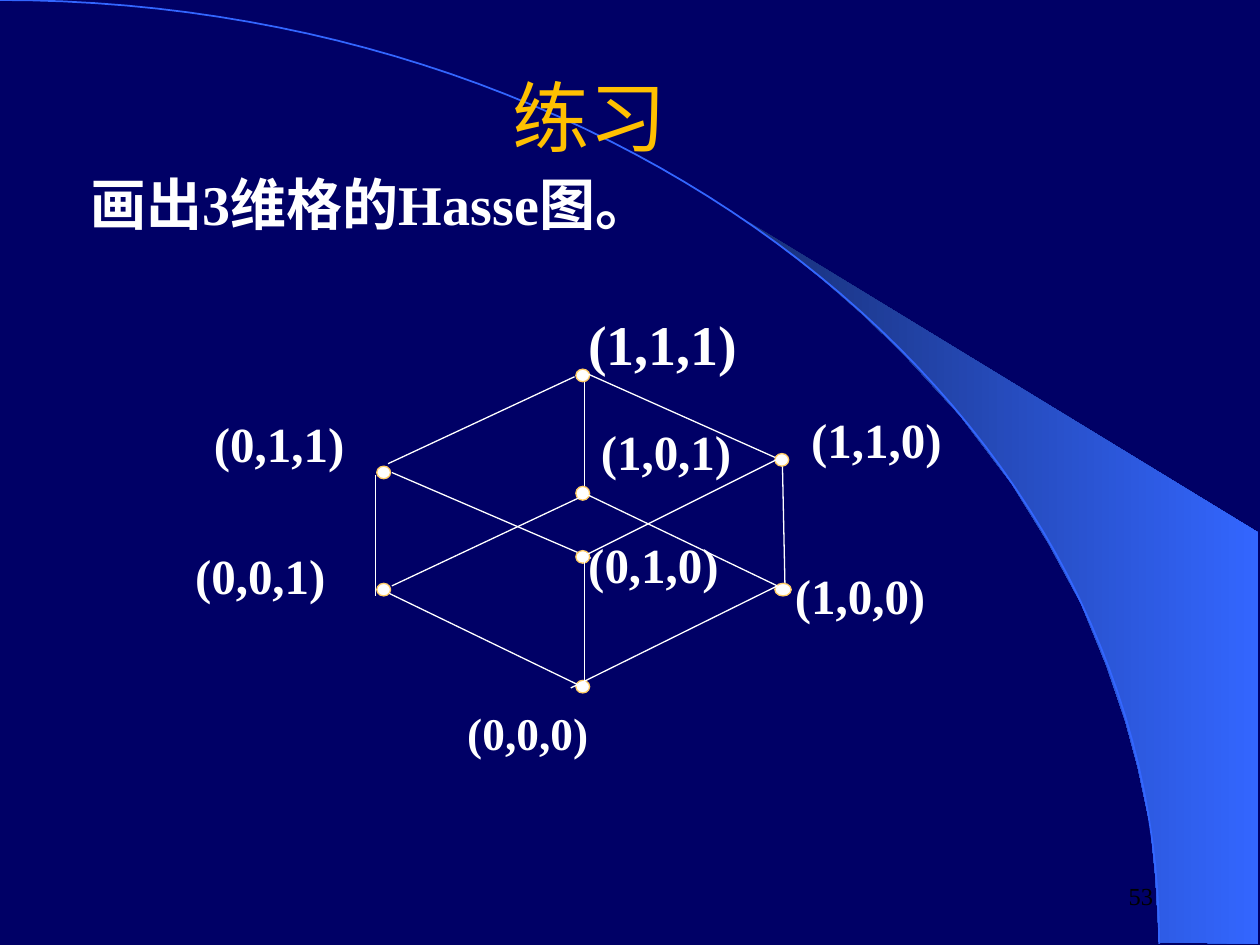
from dataclasses import dataclass
from typing import Any

from lxml.etree import SubElement
from pptx import Presentation
from pptx.dml.color import RGBColor
from pptx.enum.shapes import MSO_CONNECTOR, MSO_SHAPE
from pptx.enum.text import MSO_ANCHOR, PP_ALIGN
from pptx.oxml.ns import qn
from pptx.util import Emu, Pt

EMU_PER_PX = 9144
NAVY = RGBColor(0x00, 0x00, 0x66)
DEEP_BLUE = RGBColor(0x18, 0x2F, 0x76)
BLUE = RGBColor(0x33, 0x66, 0xFF)
WHITE = RGBColor(0xFF, 0xFF, 0xFF)
GOLD = RGBColor(0xFF, 0xC0, 0x00)
SAND = RGBColor(0xFF, 0xCC, 0x66)
BLACK = RGBColor(0x00, 0x00, 0x00)
FONT = "Times New Roman"
Point = tuple[float, float]


@dataclass(frozen=True)
class Label:
    text: str
    left: int
    top: int
    width: int
    height: int = 84
    size: float = 28
    color: RGBColor = WHITE
    bold: bool = True
    align: PP_ALIGN = PP_ALIGN.JUSTIFY
    anchor: MSO_ANCHOR = MSO_ANCHOR.TOP


@dataclass(frozen=True)
class Node:
    left: int
    top: int
    width: int = 11
    height: int = 10


@dataclass(frozen=True)
class Edge:
    x1: int
    y1: int
    x2: int
    y2: int


BEAM = [
    (920, 748), (999, 749), (999, 423), (589, 173), (624, 199), (653, 222),
    (685, 250), (716, 280), (762, 330), (803, 384), (832, 431), (858, 479),
    (878, 528), (893, 572), (903, 609), (913, 656), (917, 696),
]
ARC_CONTROLS = [(0, 0), (508, 0), (920, 335), (920, 749)]
ARC_STEPS = 60

HEADINGS = [
    Label("画出3维格的Hasse图。", 62, 130, 908, 500, size=32, align=PP_ALIGN.LEFT),
    Label("练习", 43, 52, 850, 80, size=44, color=GOLD, bold=False,
          align=PP_ALIGN.CENTER, anchor=MSO_ANCHOR.MIDDLE),
    Label("53", 825, 694, 100, 40, size=14, color=BLACK, bold=False,
          align=PP_ALIGN.RIGHT),
]
NODE_LABELS = [
    Label("(0,1,0)", 457, 419, 152),
    Label("(1,0,1)", 467, 330, 156),
    Label("(1,1,1)", 457, 241, 224, size=32),
    Label("(0,1,1)", 160, 323, 174),
    Label("(1,1,0)", 634, 320, 173),
    Label("(0,0,1)", 145, 428, 206),
    Label("(0,0,0)", 361, 555, 208, 55, size=25.9),
    Label("(1,0,0)", 621, 444, 171),
]
NODES = [
    Node(457, 293), Node(299, 370), Node(299, 463), Node(457, 540),
    Node(457, 386, height=11), Node(615, 360), Node(457, 437),
    Node(615, 463, width=13),
]
BACK_EDGES = [
    Edge(464, 302, 464, 388), Edge(311, 375, 469, 443), Edge(621, 369, 623, 465),
]
FRONT_EDGES = [
    Edge(298, 377, 298, 473), Edge(309, 471, 464, 546), Edge(464, 441, 464, 546),
    Edge(617, 465, 453, 546), Edge(456, 299, 308, 368), Edge(467, 297, 615, 363),
    Edge(616, 365, 464, 441), Edge(464, 393, 311, 465), Edge(467, 393, 617, 465),
]


def px(value: float) -> Emu:
    return Emu(round(value * EMU_PER_PX))


def apply_format(target: Any, values: dict[str, Any]) -> None:
    for name, value in values.items():
        setattr(target, name, value)


def set_line(line: Any, color: RGBColor, width: float) -> None:
    line.color.rgb = color
    line.width = Pt(width)


def arc_points() -> list[Point]:
    points = []
    for step in range(ARC_STEPS + 1):
        t = step / ARC_STEPS
        weights = ((1 - t) ** 3, 3 * t * (1 - t) ** 2, 3 * t**2 * (1 - t), t**3)
        x, y = (sum(weight * control[axis] for weight, control in zip(weights, ARC_CONTROLS))
                for axis in (0, 1))
        points.append((x, y))
    return points


def draw_outline(page: Any, points: list[Point], closed: bool) -> Any:
    first, *rest = [(px(x), px(y)) for x, y in points]
    builder = page.shapes.build_freeform(*first)
    builder.add_line_segments(rest, close=closed)
    shape = builder.convert_to_shape()
    shape.shadow.inherit = False
    return shape


def draw_background(page: Any) -> None:
    page.background.fill.solid()
    page.background.fill.fore_color.rgb = NAVY
    beam = draw_outline(page, BEAM, closed=True)
    beam.line.fill.background()
    beam.fill.gradient()
    beam.fill.gradient_angle = 0
    for stop, color, position in zip(beam.fill.gradient_stops, (DEEP_BLUE, BLUE), (0, 1)):
        stop.color.rgb = color
        stop.position = position
    arc = draw_outline(page, arc_points(), closed=False)
    arc.fill.background()
    set_line(arc.line, BLUE, 1)


def draw_label(page: Any, label: Label) -> None:
    box = page.shapes.add_textbox(
        px(label.left), px(label.top), px(label.width), px(label.height))
    apply_format(box.text_frame, {"word_wrap": True, "vertical_anchor": label.anchor})
    para = box.text_frame.paragraphs[0]
    para.alignment = label.align
    span = para.add_run()
    span.text = label.text
    apply_format(span.font, {"name": FONT, "size": Pt(label.size), "bold": label.bold})
    span.font.color.rgb = label.color


def draw_node(page: Any, node: Node) -> None:
    dot = page.shapes.add_shape(
        MSO_SHAPE.OVAL, px(node.left), px(node.top), px(node.width), px(node.height))
    dot.shadow.inherit = False
    dot.fill.solid()
    dot.fill.fore_color.rgb = WHITE
    set_line(dot.line, SAND, 0.75)


def draw_edge(page: Any, edge: Edge) -> None:
    connector = page.shapes.add_connector(
        MSO_CONNECTOR.STRAIGHT, px(edge.x1), px(edge.y1), px(edge.x2), px(edge.y2))
    set_line(connector.line, WHITE, 0.75)
    SubElement(connector._element.spPr, qn("a:effectLst"))


def main() -> None:
    deck = Presentation()
    apply_format(deck, {"slide_width": px(1000), "slide_height": px(750)})
    page = deck.slides.add_slide(deck.slide_layouts[6])
    draw_background(page)
    for draw, items in (
        (draw_label, HEADINGS),
        (draw_edge, BACK_EDGES),
        (draw_label, NODE_LABELS),
        (draw_node, NODES),
        (draw_edge, FRONT_EDGES),
    ):
        for item in items:
            draw(page, item)
    deck.save("out.pptx")


if __name__ == "__main__":
    main()
